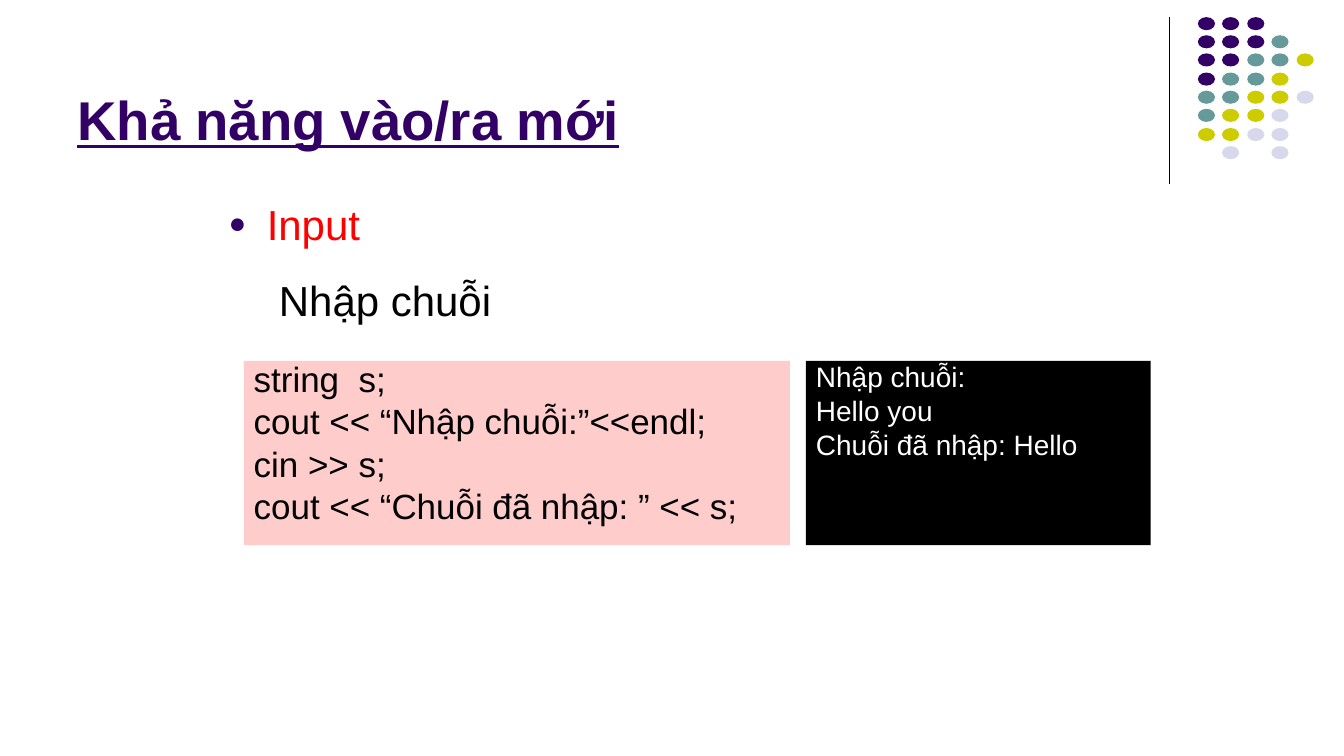
from lxml import etree
from pptx import Presentation
from pptx import util as u
from pptx.dml.color import RGBColor
from pptx.enum import shapes, text
from pptx.oxml import ns

PX = 9144
PURPLE = RGBColor(0x33, 0x00, 0x66)
TEAL = RGBColor(0x66, 0x99, 0x99)
OLIVE = RGBColor(0xCC, 0xCC, 0x00)
PALE = RGBColor(0xD8, 0xD8, 0xEC)
PINK = RGBColor(0xFF, 0xCC, 0xCC)
RED = RGBColor(0xFF, 0x00, 0x00)
BLACK = RGBColor(0x00, 0x00, 0x00)
WHITE = RGBColor(0xFF, 0xFF, 0xFF)

TONES = {"P": PURPLE, "T": TEAL, "O": OLIVE, "L": PALE}
DOTS = ["PPP", "PPPT", "PPTTO", "PTTO", "TTOOL", "TOOL", "OOLL", " L L"]
CODE = ["string  s;", "cout << “Nhập chuỗi:”<<endl;", "cin >> s;",
        "cout << “Chuỗi đã nhập: ” << s;"]
OUTPUT = ["Nhập chuỗi:", "Hello you", "Chuỗi đã nhập: Hello"]


def scale(*sizes):
    return [u.Emu(size * PX) for size in sizes]


def add_mark(para, color):
    props = para._p.get_or_add_pPr()
    tint = etree.SubElement(props, ns.qn("a:buClr"))
    etree.SubElement(tint, ns.qn("a:srgbClr"), val=str(color))
    etree.SubElement(props, ns.qn("a:buSzPct"), val="70000")
    etree.SubElement(props, ns.qn("a:buFont"), typeface="Arial")
    etree.SubElement(props, ns.qn("a:buChar"), char="●")


def write(shape, lines, size, color, bold=False, under=False, hang=38,
          before=0, pitch=None, anchor=text.MSO_ANCHOR.TOP, mark=None):
    frame = shape.text_frame
    frame.word_wrap = True
    frame.vertical_anchor = anchor
    for index, line in enumerate(lines):
        para = frame.add_paragraph() if index else frame.paragraphs[0]
        para.alignment = text.PP_ALIGN.LEFT
        para.space_before = u.Pt(before)
        para.line_spacing = pitch
        props = para._p.get_or_add_pPr()
        props.set("marL", str(hang * PX))
        props.set("indent", str(-hang * PX))
        if mark is not None:
            add_mark(para, mark)
        run = para.add_run()
        run.text = line
        font = run.font
        font.name, font.size, font.bold = "Arial", u.Pt(size), bold
        font.underline = under
        font.color.rgb = color


def add_form(slide, kind, box, fill):
    form = slide.shapes.add_shape(kind, *scale(*box))
    form.shadow.inherit = False
    form.fill.solid()
    form.fill.fore_color.rgb = fill
    form.line.fill.background()
    return form


def add_label(slide, box, lines, **style):
    write(slide.shapes.add_textbox(*scale(*box)), lines, **style)


def add_decor(slide, box):
    left, top, wide, high = box
    rule = slide.shapes.add_connector(
        shapes.MSO_CONNECTOR.STRAIGHT, *scale(left, top, left, top + high))
    rule.line.color.rgb = BLACK
    rule.line.width = u.Pt(0.75)
    etree.SubElement(rule._element.spPr, ns.qn("a:effectLst"))
    for row, marks in enumerate(DOTS):
        for col, tone in enumerate(marks):
            if tone in TONES:
                place = (left + 28 + col * 49 // 2, top + row * 55 // 3, 17, 13)
                add_form(slide, shapes.MSO_SHAPE.OVAL, place, TONES[tone])


def add_heading(slide, box):
    add_label(slide, box, ["Khả năng vào/ra mới"], size=39, color=PURPLE,
              bold=True, under=True, hang=0, anchor=text.MSO_ANCHOR.BOTTOM)


def add_topic(slide, box):
    left, top, wide, high = box
    add_label(slide, box, ["Input"], size=30, color=RED, before=7.5,
              mark=PURPLE)
    add_label(slide, (left + 50, top + 75, wide, 75), ["Nhập chuỗi"],
              size=30, color=BLACK, before=7.5)


def add_sample(slide, box):
    left, top, wide, high = box
    code = add_form(slide, shapes.MSO_SHAPE.RECTANGLE,
                    (left, top, 542, high), PINK)
    write(code, CODE, size=25, color=BLACK, before=6.2, pitch=0.8)
    screen = add_form(slide, shapes.MSO_SHAPE.RECTANGLE,
                      (left + 558, top, wide - 558, high), BLACK)
    write(screen, OUTPUT, size=20, color=WHITE, before=5, pitch=0.8)


def main():
    deck = Presentation()
    deck.slide_width, deck.slide_height = scale(1334, 750)
    slide = deck.slides.add_slide(deck.slide_layouts[6])
    add_decor(slide, (1161, 17, 143, 166))
    add_heading(slide, (67, 13, 1100, 142))
    add_topic(slide, (217, 192, 900, 482))
    add_sample(slide, (242, 358, 900, 183))
    deck.save("out.pptx")


if __name__ == "__main__":
    main()
